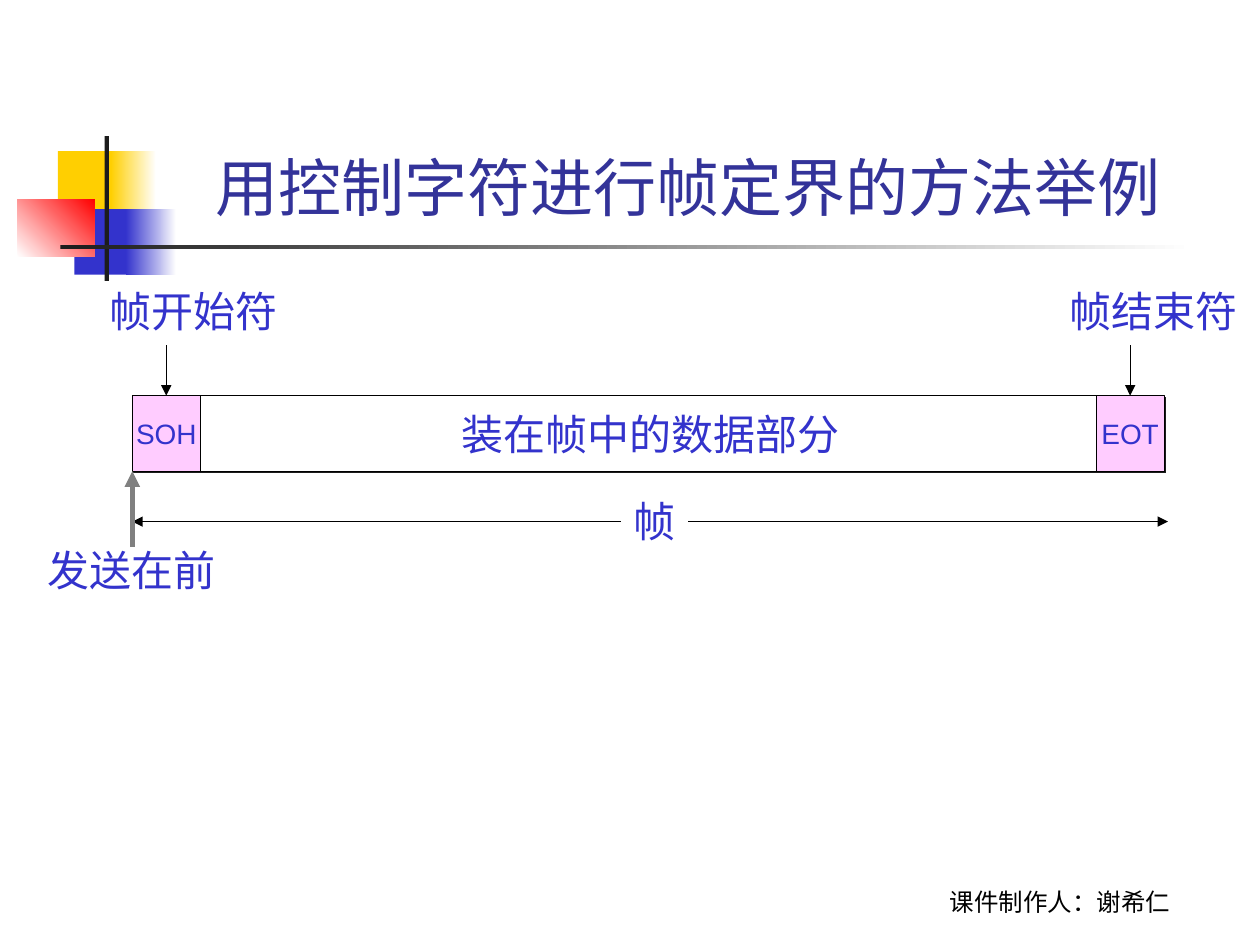
"""Build the slide on framing data with control characters."""
from lxml import etree
from pptx import Presentation
from pptx import util as u
from pptx.dml.color import RGBColor
from pptx.enum import shapes, text
from pptx.oxml import ns

deck = Presentation()
deck.slide_width, deck.slide_height = u.Inches(10), u.Inches(7.5)
COLUMN, ROW = deck.slide_width / 100, deck.slide_height / 75
colour = RGBColor.from_string
page = deck.slides.add_slide(deck.slide_layouts[5])
CENTRE, LEFT = text.PP_ALIGN.CENTER, text.PP_ALIGN.LEFT
MIDDLE, TOP, BOTTOM = text.MSO_ANCHOR.MIDDLE, text.MSO_ANCHOR.TOP, text.MSO_ANCHOR.BOTTOM
BLUE, BLACK, DARK = "3333CC", "000000", "1C1C1C"


def grid(*lengths):
    """Turn alternating columns and rows into slide lengths."""
    return [round(length * (ROW if i % 2 else COLUMN)) for i, length in enumerate(lengths)]


def write(box, words, size, ink=BLUE, face="Arial", align=CENTRE, anchor=MIDDLE, wrap=False):
    """Put one formatted line of text in a box."""
    frame = box.text_frame
    layout = {"word_wrap": wrap, "vertical_anchor": anchor, "auto_size": text.MSO_AUTO_SIZE.NONE}
    for name, value in layout.items():
        setattr(frame, name, value)
    para = frame.paragraphs[0]
    para.alignment = align
    span = para.add_run()
    span.text = words
    for name, value in {"size": u.Pt(size), "name": face}.items():
        setattr(span.font, name, value)
    span.font.color.rgb = colour(ink)


ornaments = [
    ((4.6, 12, 4.8, 5.2), ["FFCF01"], 0),
    ((8.8, 12, 3.6, 5.2), ["FFCF01", "FFFFFF"], 0),
    ((5.9, 16.6, 4.6, 5.2), [BLUE], 0),
    ((10, 16.6, 4, 5.2), [BLUE, "FFFFFF"], 0),
    ((1.4, 15.8, 6.1, 4.6), ["FFFFFF", "FF0000"], 45),
    ((8.3, 10.8, 0.35, 11.5), [DARK], 0),
    ((4.8, 19.45, 90, 0.35), [DARK, "FFFFFF"], 0),
]
for place, inks, angle in ornaments:
    box = page.shapes.add_shape(shapes.MSO_SHAPE.RECTANGLE, *grid(*place))
    box.shadow.inherit = False
    box.line.fill.background()
    if len(inks) == 1:
        box.fill.solid()
        box.fill.fore_color.rgb = colour(inks[0])
    else:
        box.fill.gradient()
        box.fill.gradient_angle = angle
        for stop, ink, position in zip(box.fill.gradient_stops, inks, (0, 1)):
            stop.color.rgb = colour(ink)
            stop.position = position

title = page.shapes.title
for name, value in zip(("left", "top", "width", "height"), grid(12.6, 2.3, 85.2, 16)):
    setattr(title, name, value)
write(title, "用控制字符进行帧定界的方法举例 ", 36, "333399", anchor=BOTTOM, wrap=True)

FRAME_TOP, FRAME_HEIGHT, FRAME_LEFT = 31.4, 6, 10.5
fields = [
    ("SOH", FRAME_LEFT, 5.4, "FFCCFF", 16),
    ("装在帧中的数据部分", 15.9, 71.4, "FFFFFF", 24),
    ("EOT", 87, 5.4, "FFCCFF", 16),
]
boxes = {}
for words, left, width, fill, size in fields:
    box = page.shapes.add_shape(
        shapes.MSO_SHAPE.RECTANGLE, *grid(left, FRAME_TOP, width, FRAME_HEIGHT))
    box.fill.solid()
    box.fill.fore_color.rgb = colour(fill)
    box.line.color.rgb = colour(BLACK)
    box.line.width = u.Pt(0.75)
    box.shadow.inherit = False
    effects = box.element.spPr.find(ns.qn("a:effectLst"))
    shadow = etree.SubElement(effects, ns.qn("a:outerShdw"), dist=str(u.Pt(1.4)),
                              dir="2700000", algn="ctr", rotWithShape="0")
    etree.SubElement(shadow, ns.qn("a:srgbClr"), val=DARK)
    write(box, words, size)
    boxes[words] = box

arrows = [
    ((FRAME_LEFT, 41.4, 92.7, 41.4), BLACK, 0.75, ("headEnd", "tailEnd"), None),
    ((13.2, 27.4, 13.2, FRAME_TOP), BLACK, 0.75, ("tailEnd",), "SOH"),
    ((89.7, 27.4, 89.7, FRAME_TOP), BLACK, 0.75, ("tailEnd",), "EOT"),
    ((FRAME_LEFT, 43.4, FRAME_LEFT, FRAME_TOP + FRAME_HEIGHT), "808080", 3, ("tailEnd",), None),
]
for ends, ink, weight, heads, target in arrows:
    arrow = page.shapes.add_connector(shapes.MSO_CONNECTOR.STRAIGHT, *grid(*ends))
    arrow.line.color.rgb = colour(ink)
    arrow.line.width = u.Pt(weight)
    for head in heads:
        etree.SubElement(arrow.line._get_or_add_ln(), ns.qn(f"a:{head}"), type="triangle")
    etree.SubElement(arrow.element.spPr, ns.qn("a:effectLst"))
    if target:
        arrow.end_connect(boxes[target], 0)

labels = [
    ("帧", 49.3, 38.8, 5.3),
    ("帧开始符", 7.7, 22.2, 15.3),
    ("帧结束符", 83.9, 22.2, 15.3),
    ("发送在前", 2.8, 42.7, 15.3),
]
for words, left, top, width in labels:
    label = page.shapes.add_textbox(*grid(left, top, width, 5))
    write(label, words, 24, align=LEFT, anchor=TOP)
    if words == "帧":
        label.fill.solid()
        label.fill.fore_color.rgb = colour("FFFFFF")

credit = page.shapes.add_textbox(*grid(68.3, 68.2, 31.7, 5))
write(credit, "课件制作人：谢希仁", 14, BLACK, "Cabin", anchor=BOTTOM, wrap=True)

deck.save("out.pptx")
